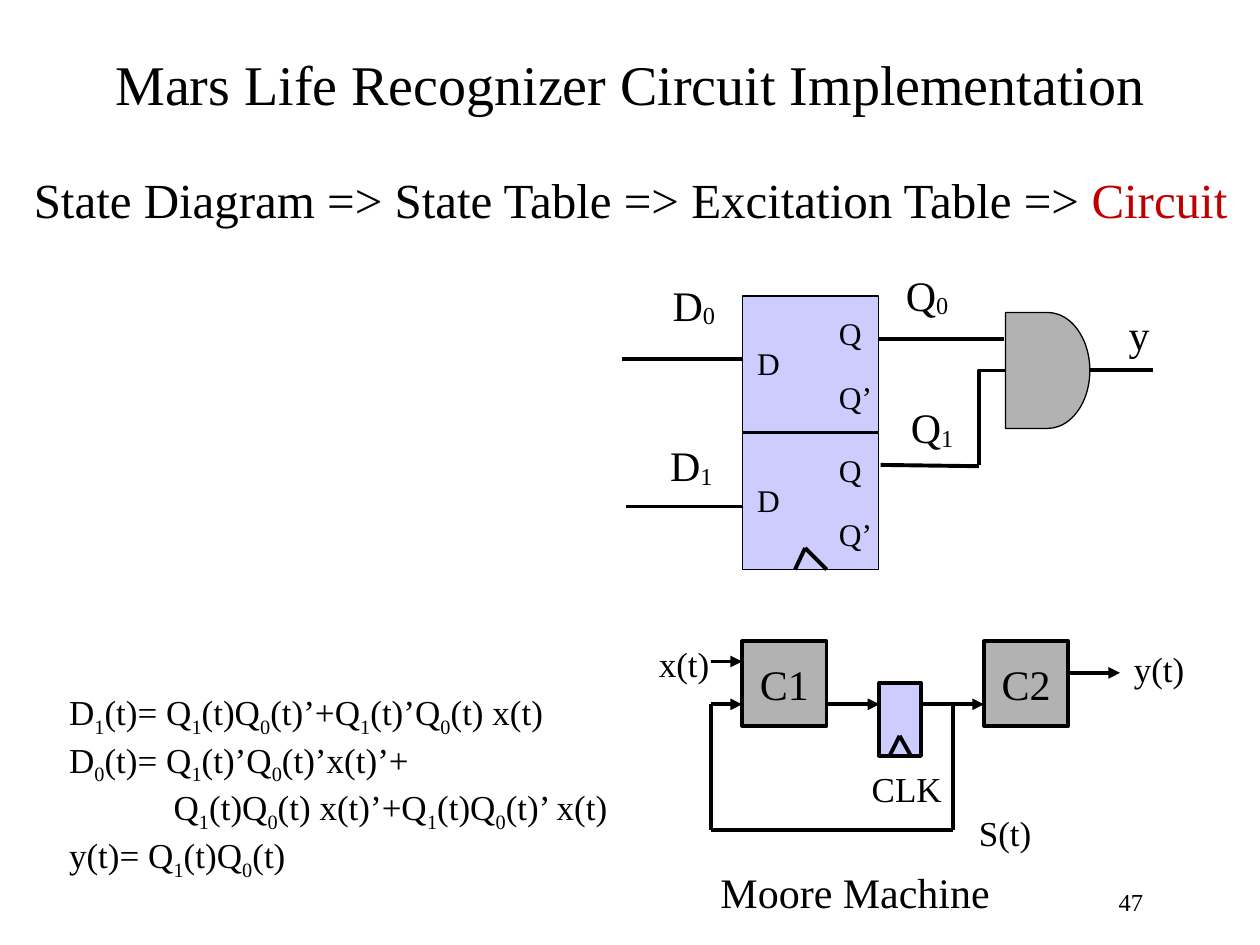
from lxml.etree import SubElement
from pptx import Presentation
from pptx.dml.color import RGBColor
from pptx.enum.shapes import MSO_CONNECTOR, MSO_SHAPE
from pptx.enum.text import MSO_ANCHOR, MSO_AUTO_SIZE, PP_ALIGN
from pptx.oxml.ns import qn
from pptx.util import Inches, Pt

FONT = "Times New Roman"
BLACK, RED, LILAC, GRAY = "000000", "C00000", "CCCCFF", "B2B2B2"

TITLE = "Mars Life Recognizer Circuit Implementation"
STEPS = [("State Diagram => State Table => Excitation Table => ", BLACK),
         ("Circuit", RED)]
# "_" marks the next character as a subscript
EQUATIONS = [  # text, left indent
    ("D_1(t)= Q_1(t)Q_0(t)’+Q_1(t)’Q_0(t) x(t)", 0),
    ("D_0(t)= Q_1(t)’Q_0(t)’x(t)’+", 0),
    ("Q_1(t)Q_0(t) x(t)’+Q_1(t)Q_0(t)’ x(t)", 0.83),
    ("y(t)= Q_1(t)Q_0(t)", 0),
]
FLIP_FLOP_LEFT, FLIP_FLOP_SIZE = 5.89, 1.08
FLIP_FLOP_TOPS = [2.35, 3.44]
PINS = [("D", 0.02, 0.33, 0.42), ("Q", 0.67, 0.09, 0.42), ("Q’", 0.67, 0.6, 0.5)]
SIGNALS = [  # text, left, top, width
    ("Q_1", 7.13, 3.14, 0.58), ("Q_0", 7.09, 2.09, 0.58), ("D_1", 5.22, 3.44, 0.58),
    ("D_0", 5.24, 2.17, 0.58), ("y", 8.86, 2.4, 0.4)]
WIRES = [
    (5.9, 2.85, 4.94, 2.85), (5.9, 4.02, 4.97, 4.02),
    (6.98, 2.69, 7.97, 2.69), (6.99, 3.69, 7.77, 3.7),
    (6.31, 4.52, 6.39, 4.35), (6.39, 4.35, 6.56, 4.52),  # clock mark
]
MOORE_BLOCKS = [("C1", 5.89), ("C2", 7.81)]
MOORE_LABELS = [  # text, left, top, width
    ("CLK", 6.82, 6.04, 0.8), ("x(t)", 5.13, 5.05, 0.65),
    ("y(t)", 8.9, 5.09, 0.65), ("S(t)", 7.67, 6.39, 0.68)]
MOORE_ARROWS = [(5.64, 5.25, 5.89, 5.25), (6.56, 5.59, 6.98, 5.59),
                (7.31, 5.59, 7.81, 5.59), (8.48, 5.34, 8.89, 5.34),
                (5.64, 5.59, 5.89, 5.59)]
MOORE_WIRES = [
    (7.56, 5.59, 7.56, 6.59), (7.56, 6.59, 5.64, 6.59), (5.64, 6.59, 5.64, 5.59),
    (7.06, 6, 7.14, 5.84), (7.14, 5.84, 7.23, 6),  # clock mark
]


def rgb(color):
    return RGBColor.from_string(color)


def style(p, size):
    p.font.name, p.font.size = FONT, Pt(size)
    p.font.color.rgb = rgb(BLACK)


def add_runs(p, text, baseline):
    """Add text, lowering each character that follows an underscore."""
    first, *rest = text.split("_")
    pieces = [(first, False)]
    for part in rest:
        pieces += [(part[0], True), (part[1:], False)]
    for piece, lowered in pieces:
        if piece:
            r = p.add_run()
            r.text = piece
            if lowered:
                r.font._element.set("baseline", str(baseline))


def add_text(parent, x, y, w, h, lines, size, baseline=-8000):
    """Add a text box; lines holds (text, left indent) pairs."""
    tf = parent.add_textbox(Inches(x), Inches(y), Inches(w), Inches(h)).text_frame
    tf.word_wrap = True
    tf.auto_size = MSO_AUTO_SIZE.NONE
    for i, (text, indent) in enumerate(lines):
        p = tf.add_paragraph() if i else tf.paragraphs[0]
        if indent:
            p._p.get_or_add_pPr().set("marL", str(Inches(indent)))
        style(p, size)
        add_runs(p, text, baseline)
    return tf


def add_box(parent, kind, x, y, w, h, fill, line, text=""):
    s = parent.add_shape(kind, Inches(x), Inches(y), Inches(w), Inches(h))
    s.shadow.inherit = False
    s.fill.solid()
    s.fill.fore_color.rgb = rgb(fill)
    s.line.color.rgb = rgb(BLACK)
    s.line.width = Pt(line)
    if text:
        tf = s.text_frame
        tf.word_wrap = False
        tf.vertical_anchor = MSO_ANCHOR.MIDDLE
        p = tf.paragraphs[0]
        p.text, p.alignment = text, PP_ALIGN.CENTER
        style(p, 24)
    return s


def add_line(parent, ends, arrow=False, kind=MSO_CONNECTOR.STRAIGHT, width=2.25):
    s = parent.add_connector(kind, *(Inches(v) for v in ends))
    s.line.color.rgb = rgb(BLACK)
    s.line.width = Pt(width)
    if arrow:
        SubElement(s.line._get_or_add_ln(), qn("a:tailEnd"), type="triangle")
    SubElement(s._element.spPr, qn("a:effectLst"))
    return s


def add_header(shapes):
    tf = add_text(shapes, 0.17, 0.2, 9.67, 0.92, [(TITLE, 0)], 32)
    tf.vertical_anchor = MSO_ANCHOR.MIDDLE
    tf.paragraphs[0].alignment = PP_ALIGN.CENTER
    tf = add_text(shapes, 0.17, 1.3, 9.83, 0.57, [("", 0)], 28)
    for text, color in STEPS:
        r = tf.paragraphs[0].add_run()
        r.text = text
        r.font.color.rgb = rgb(color)
    add_text(shapes, 8.78, 6.99, 1.2, 0.5, [("47", 0)], 14)


def add_circuit(shapes):
    for top in FLIP_FLOP_TOPS:
        add_box(shapes, MSO_SHAPE.RECTANGLE, FLIP_FLOP_LEFT, top,
                FLIP_FLOP_SIZE, FLIP_FLOP_SIZE, LILAC, 0.75)
        for pin, dx, dy, w in PINS:
            add_text(shapes, FLIP_FLOP_LEFT + dx, top + dy, w, 0.4, [(pin, 0)], 18)
    for ends in WIRES:
        add_line(shapes, ends)
    for text, x, y, w in SIGNALS:
        add_text(shapes, x, y, w, 0.5, [(text, 0)], 24)
    gate = add_box(shapes, MSO_SHAPE.FLOWCHART_DELAY, 7.98, 2.48, 0.67, 0.92, GRAY, 0.75)
    output = add_line(shapes, (8.65, 2.94, 9.15, 2.94))
    output.begin_connect(gate, 3)
    # One-corner elbow, turned a quarter so that it rises and then runs right
    elbow = add_line(shapes, (8.25, 3.42, 7.5, 3.21), kind=MSO_CONNECTOR.ELBOW, width=2)
    spPr = elbow._element.spPr
    spPr.find(qn("a:xfrm")).set("rot", str(90 * 60000))
    spPr.find(qn("a:prstGeom")).set("prst", "bentConnector2")


def add_moore_machine(shapes):
    for text, x in MOORE_BLOCKS:
        add_box(shapes, MSO_SHAPE.RECTANGLE, x, 5.09, 0.67, 0.67, GRAY, 2.25, text)
    add_box(shapes, MSO_SHAPE.RECTANGLE, 6.98, 5.42, 0.33, 0.58, LILAC, 2.25)
    for text, x, y, w in MOORE_LABELS:
        add_text(shapes, x, y, w, 0.44, [(text, 0)], 20)
    for ends in MOORE_ARROWS:
        add_line(shapes, ends, arrow=True)
    for ends in MOORE_WIRES:
        add_line(shapes, ends)
    add_text(shapes, 5.62, 6.83, 2.4, 0.5, [("Moore Machine", 0)], 24)


def main():
    prs = Presentation()
    prs.slide_width, prs.slide_height = Inches(10), Inches(7.5)
    shapes = prs.slides.add_slide(prs.slide_layouts[6]).shapes
    add_header(shapes)
    add_circuit(shapes)
    add_moore_machine(shapes.add_group_shape().shapes)
    add_text(shapes, 0.45, 5.43, 4.6, 1.62, EQUATIONS, 20, baseline=-25000)
    prs.save("out.pptx")


if __name__ == "__main__":
    main()
